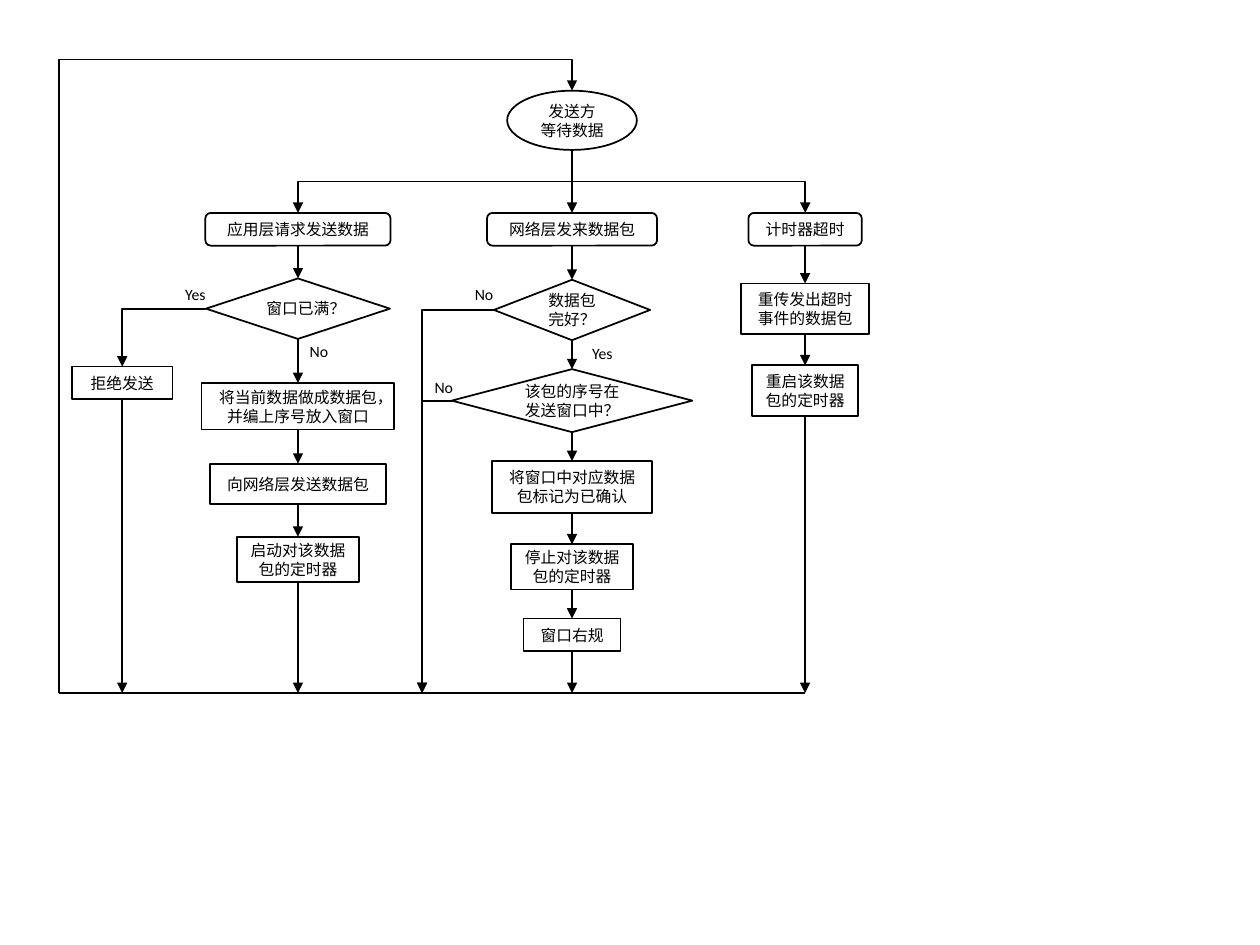
from lxml.etree import SubElement
from pptx import Presentation
from pptx.dml.color import RGBColor
from pptx.enum.lang import MSO_LANGUAGE_ID
from pptx.enum.shapes import MSO_CONNECTOR, MSO_SHAPE
from pptx.enum.text import MSO_ANCHOR, MSO_AUTO_SIZE, PP_ALIGN
from pptx.oxml.ns import qn
from pptx.util import Emu, Pt

SCALE = 914400 // 200  # 200 px to the inch
BLACK, WHITE = "000000", "FFFFFF"
RECT, ROUND = MSO_SHAPE.RECTANGLE, MSO_SHAPE.ROUNDED_RECTANGLE
DECISION, OVAL = MSO_SHAPE.FLOWCHART_DECISION, MSO_SHAPE.OVAL
TOP, BOTTOM = 0, 2  # connection sites

RAIL_LEFT, RAIL_Y = 94, 1100
LOOP_Y = 94
WAITING_TOP, WAITING_BOTTOM = 144, 238
COLUMN_TOP = 338
REFUSE_X, REQUEST_X, NETWORK_X, TIMER_X = 194, 473, 908, 1278
SKIP_X = 670

# Steps of each column: shape, top below the column top, width, height, text
REFUSE_STEPS = [(RECT, 0, 160, 52, "拒绝发送")]
REQUEST_STEPS = [
    (ROUND, 0, 294, 52, "应用层请求发送数据"),
    (DECISION, 104, 292, 96, "窗口已满？"),
    (RECT, 270, 306, 74, "将当前数据做成数据包，\n并编上序号放入窗口"),
    (RECT, 398, 280, 64, "向网络层发送数据包"),
    (RECT, 514, 194, 72, "启动对该数据包的定时器"),
]
NETWORK_STEPS = [
    (ROUND, 0, 270, 52, "网络层发来数据包"),
    (DECISION, 106, 248, 96, "数据包\n完好？"),
    (DECISION, 248, 382, 100, "该包的序号在发送窗口中？"),
    (RECT, 394, 254, 82, "将窗口中对应数据\n包标记为已确认"),
    (RECT, 526, 194, 72, "停止对该数据包的定时器"),
    (RECT, 644, 154, 52, "窗口右规"),
]
TIMER_STEPS = [
    (ROUND, 0, 180, 52, "计时器超时"),
    (RECT, 112, 204, 80, "重传发出超时事件的数据包"),
    (RECT, 242, 168, 80, "重启该数据包的定时器"),
]
LABELS = [("Yes", 274, 442, 76), ("No", 472, 532, 70), ("No", 734, 442, 70),
          ("No", 670, 590, 70), ("Yes", 920, 536, 76)]


def px(value):
    return Emu(round(value * SCALE))


def color(hex_string):
    return RGBColor.from_string(hex_string)


def write(frame, text, alignment):
    for index, line in enumerate(text.split("\n")):
        para = frame.paragraphs[0] if index == 0 else frame.add_paragraph()
        para.alignment = alignment
        span = para.add_run()
        span.text = line
        span.font.name = "Calibri"
        span.font.size = Pt(9)
        span.font.color.rgb = color(BLACK)
        span.font.language_id = MSO_LANGUAGE_ID.SIMPLIFIED_CHINESE


def add_step(page, shape, center, top, width, height, text):
    box = page.shapes.add_shape(
        shape, px(center - width / 2), px(top), px(width), px(height))
    box.shadow.inherit = False
    box.fill.solid()
    box.fill.fore_color.rgb = color(WHITE)
    box.line.color.rgb = color(BLACK)
    box.line.width = Pt(1)
    box.text_frame.word_wrap = True
    box.text_frame.vertical_anchor = MSO_ANCHOR.MIDDLE
    write(box.text_frame, text, PP_ALIGN.CENTER)
    return box


def add_label(page, text, left, top, width):
    box = page.shapes.add_textbox(px(left), px(top), px(width), px(50))
    box.text_frame.word_wrap = False
    box.text_frame.auto_size = MSO_AUTO_SIZE.SHAPE_TO_FIT_TEXT
    write(box.text_frame, text, PP_ALIGN.LEFT)


def add_line(page, start, end, kind=MSO_CONNECTOR.STRAIGHT, arrow=True):
    line = page.shapes.add_connector(kind, *map(px, start + end))
    line.line.color.rgb = color(BLACK)
    line.line.width = Pt(1)
    properties = line.element.spPr
    if arrow:
        SubElement(properties.find(qn("a:ln")), qn("a:tailEnd"), type="triangle")
    SubElement(properties, qn("a:effectLst"))
    return line


def add_elbow(page, start, end, preset, rotation, flips="", bend=None):
    """Bent arrow: its frame is turned about the middle of start and end."""
    line = add_line(page, start, end, MSO_CONNECTOR.ELBOW)
    width, height = abs(end[0] - start[0]), abs(end[1] - start[1])
    if rotation % 180:
        width, height = height, width
    line.left = px((start[0] + end[0] - width) / 2)
    line.top = px((start[1] + end[1] - height) / 2)
    line.width, line.height = px(width), px(height)
    frame = line.element.spPr.find(qn("a:xfrm"))
    frame.set("rot", str(rotation * 60000))
    for axis in "HV":
        frame.set("flip" + axis, str(int(axis in flips)))
    geometry = line.element.spPr.find(qn("a:prstGeom"))
    geometry.set("prst", preset)
    if bend is not None:
        SubElement(geometry.find(qn("a:avLst")), qn("a:gd"),
                   name="adj1", fmla=f"val {round(bend * 100000)}")


def draw_column(page, center, top, steps):
    """Stack of steps joined by arrows, the last one running to the rail."""
    boxes = [add_step(page, shape, center, top + offset, width, height, text)
             for shape, offset, width, height, text in steps]
    for upper, lower in zip(boxes, boxes[1:]):
        line = add_line(page, (center, top), (center, top))
        line.begin_connect(upper, BOTTOM)
        line.end_connect(lower, TOP)
    _, offset, _, height, _ = steps[-1]
    exit_line = add_line(page, (center, top + offset + height), (center, RAIL_Y))
    exit_line.begin_connect(boxes[-1], BOTTOM)
    return boxes


def left_point(center, step):
    _, offset, width, height, _ = step
    return center - width // 2, COLUMN_TOP + offset + height // 2


def draw_flowchart(page):
    # Columns
    draw_column(page, REFUSE_X, 582, REFUSE_STEPS)
    draw_column(page, REQUEST_X, COLUMN_TOP, REQUEST_STEPS)
    network = draw_column(page, NETWORK_X, COLUMN_TOP, NETWORK_STEPS)
    draw_column(page, TIMER_X, COLUMN_TOP, TIMER_STEPS)

    # Waiting state and its three events
    add_step(page, OVAL, NETWORK_X, WAITING_TOP, 206,
             WAITING_BOTTOM - WAITING_TOP, "发送方\n等待数据")
    waiting_exit = (NETWORK_X, WAITING_BOTTOM)
    arrival = add_line(page, waiting_exit, (NETWORK_X, COLUMN_TOP))
    arrival.end_connect(network[0], TOP)
    for center, rotation, flips in ((REQUEST_X, 90, ""), (TIMER_X, 270, "H")):
        add_elbow(page, waiting_exit, (center, COLUMN_TOP),
                  "bentConnector3", rotation, flips, 0.5)

    # Side exits of the decisions
    for center, step, end in (
            (REQUEST_X, REQUEST_STEPS[1], (REFUSE_X, 582)),
            (NETWORK_X, NETWORK_STEPS[1], (SKIP_X, RAIL_Y)),
            (NETWORK_X, NETWORK_STEPS[2], (SKIP_X, RAIL_Y))):
        add_elbow(page, left_point(center, step), end, "bentConnector2", 180, "V")
    for label in LABELS:
        add_label(page, *label)

    # Rail and the way back to waiting
    add_line(page, (RAIL_LEFT, RAIL_Y), (TIMER_X, RAIL_Y), arrow=False)
    add_elbow(page, (RAIL_LEFT, RAIL_Y), (NETWORK_X, WAITING_TOP), "bentConnector3",
              90, "HV", (RAIL_Y - LOOP_Y) / (RAIL_Y - WAITING_TOP))


def main():
    deck = Presentation()
    deck.slide_width, deck.slide_height = px(2000), px(1500)
    page = deck.slides.add_slide(deck.slide_layouts[6])
    draw_flowchart(page)
    deck.save("out.pptx")


if __name__ == "__main__":
    main()
